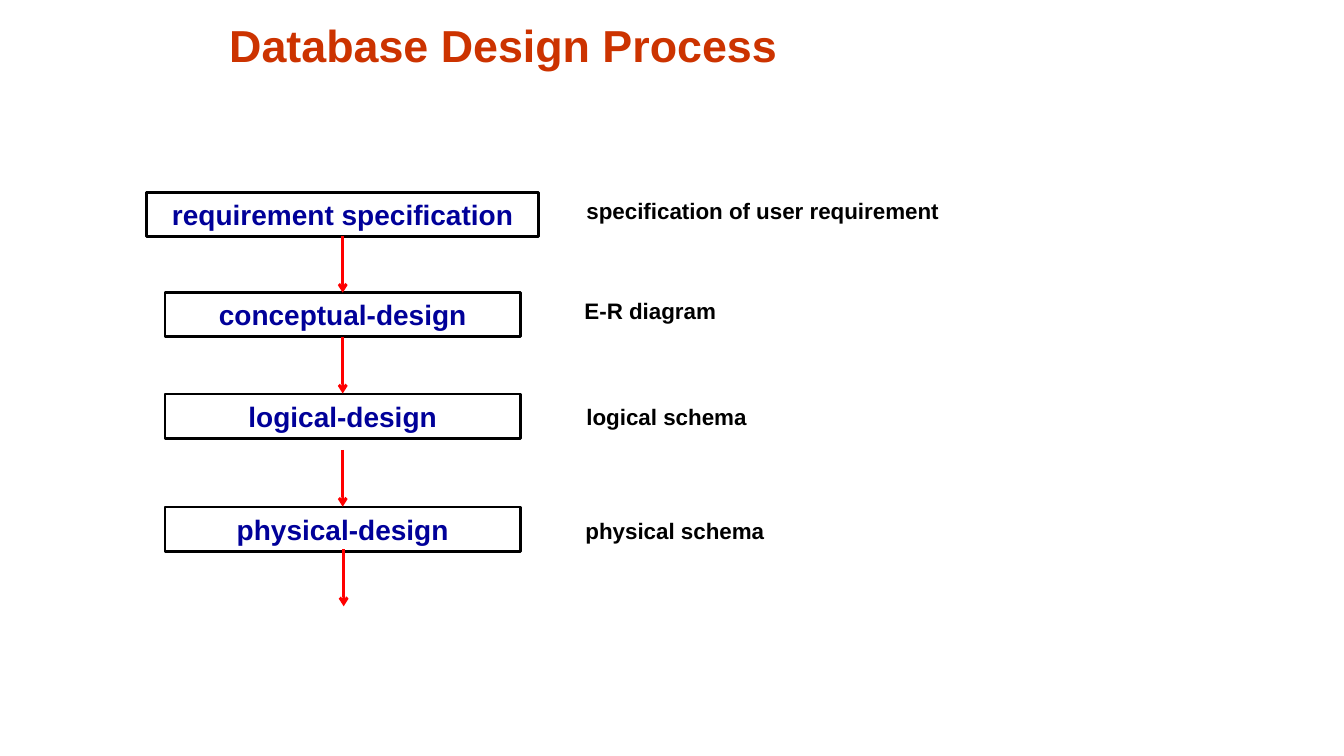
from dataclasses import dataclass

from pptx import Presentation
from pptx.dml.color import RGBColor
from pptx.enum.shapes import MSO_CONNECTOR, MSO_SHAPE
from pptx.enum.text import MSO_ANCHOR, PP_ALIGN
from pptx.oxml.ns import qn
from pptx.util import Pt
from lxml.etree import SubElement


@dataclass(frozen=True)
class Theme:
    font: str = "Arial"
    title_color: str = "CC3300"
    step_color: str = "000099"
    result_color: str = "000000"
    border_color: str = "000000"
    arrow_color: str = "FF0000"
    title_size: int = 32
    step_size: int = 20
    result_size: int = 16
    line_width: int = 2


class ProcessSlide:
    def __init__(self, slide, theme):
        self.slide = slide
        self.theme = theme

    def set_text(self, shape, text, size, color, alignment, anchor):
        text_frame = shape.text_frame
        text_frame.word_wrap = True
        text_frame.vertical_anchor = anchor
        text_frame.text = text
        paragraph = text_frame.paragraphs[0]
        paragraph.alignment = alignment
        font = paragraph.runs[0].font
        font.name = self.theme.font
        font.size = Pt(size)
        font.bold = True
        font.color.rgb = RGBColor.from_string(color)

    def outline(self, shape, color):
        shape.line.color.rgb = RGBColor.from_string(color)
        shape.line.width = Pt(self.theme.line_width)

    def title(self, text, left, top, width, height):
        shape = self.slide.shapes.add_textbox(Pt(left), Pt(top), Pt(width), Pt(height))
        self.set_text(shape, text, self.theme.title_size, self.theme.title_color,
                      PP_ALIGN.CENTER, MSO_ANCHOR.BOTTOM)

    def step(self, text, center, top, width, height):
        shape = self.slide.shapes.add_shape(
            MSO_SHAPE.RECTANGLE, Pt(center - width / 2), Pt(top), Pt(width), Pt(height))
        shape.shadow.inherit = False
        shape.fill.background()
        self.outline(shape, self.theme.border_color)
        self.set_text(shape, text, self.theme.step_size, self.theme.step_color,
                      PP_ALIGN.CENTER, MSO_ANCHOR.TOP)

    def result(self, text, left, top, width, height):
        shape = self.slide.shapes.add_textbox(Pt(left), Pt(top), Pt(width), Pt(height))
        self.set_text(shape, text, self.theme.result_size, self.theme.result_color,
                      PP_ALIGN.LEFT, MSO_ANCHOR.TOP)

    def arrow(self, center, top, length):
        connector = self.slide.shapes.add_connector(
            MSO_CONNECTOR.STRAIGHT, Pt(center), Pt(top), Pt(center), Pt(top + length))
        self.outline(connector, self.theme.arrow_color)
        properties = connector.element.spPr
        SubElement(properties.find(qn("a:ln")), qn("a:tailEnd"), type="arrow")
        SubElement(properties, qn("a:effectLst"))


STEP_CENTER = 244.8
STEP_HEIGHT = 31.7
ARROW_LENGTH = 40.6
RESULT_HEIGHT = 26.6

STEPS = [
    ("requirement specification", 137.5, 280),
    ("conceptual-design", 208.8, 254),
    ("logical-design", 281.5, 254),
    ("physical-design", 362.2, 254),
]
ARROWS = [
    (STEP_CENTER, 168.5),
    (STEP_CENTER, 240.5),
    (STEP_CENTER, 321.3),
    (245.5, 392.5),
]
RESULTS = [
    ("specification of user requirement", 411.8, 137.5, 293),
    ("E-R diagram", 410.4, 208.8, 154),
    ("logical schema", 411.8, 284.4, 154),
    ("physical schema", 411.1, 365.8, 154),
]


def main():
    presentation = Presentation()
    presentation.slide_width = Pt(960)
    presentation.slide_height = Pt(540)
    slide = presentation.slides.add_slide(presentation.slide_layouts[6])
    process = ProcessSlide(slide, Theme())

    process.title("Database Design Process", 69.8, 6.5, 579.6, 48.2)
    for text, top, width in STEPS:
        process.step(text, STEP_CENTER, top, width, STEP_HEIGHT)
    for center, top in ARROWS:
        process.arrow(center, top, ARROW_LENGTH)
    for text, left, top, width in RESULTS:
        process.result(text, left, top, width, RESULT_HEIGHT)

    presentation.save("out.pptx")


if __name__ == "__main__":
    main()
